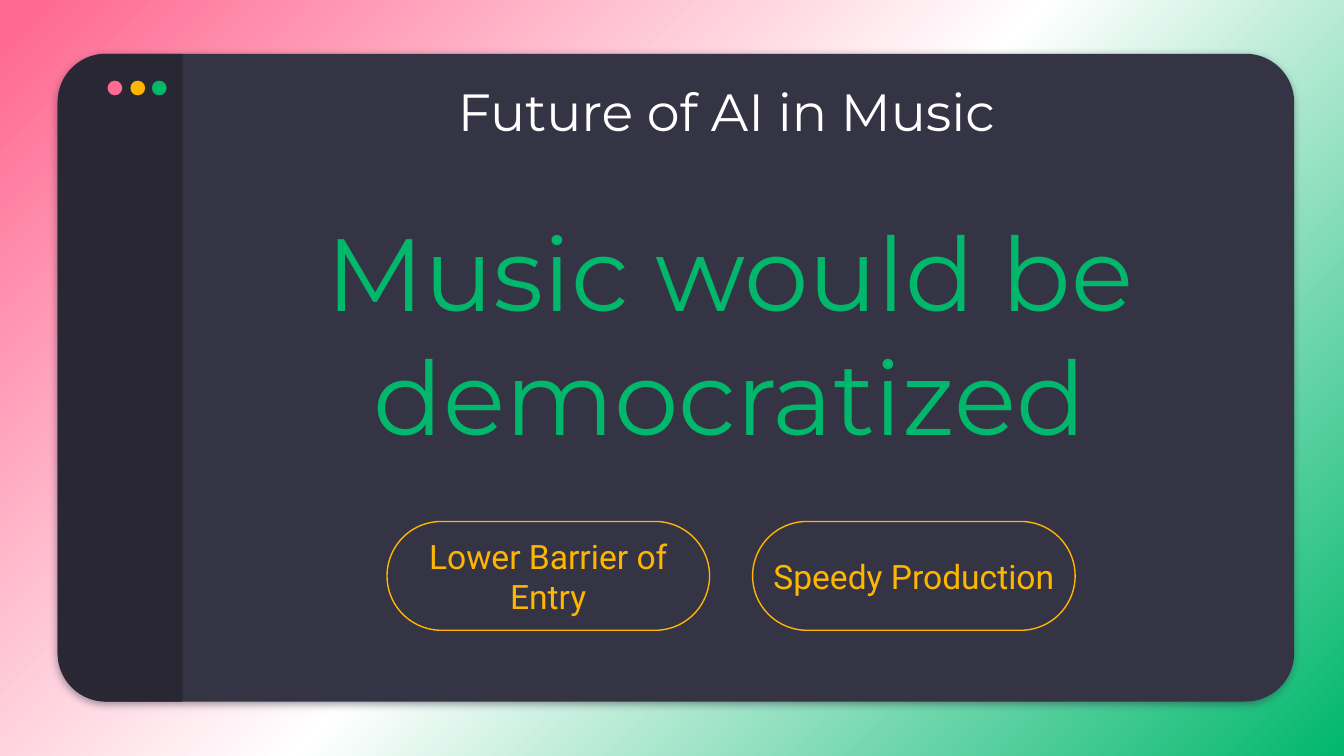
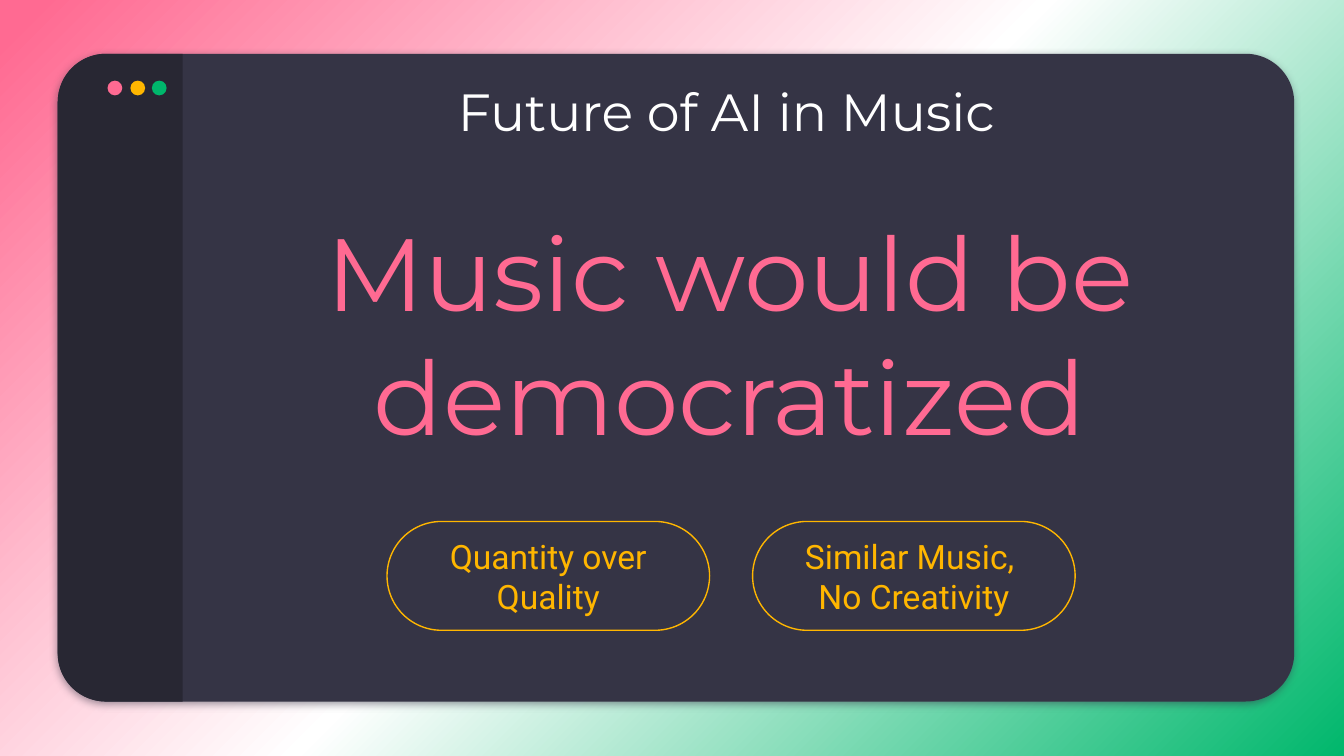
from lxml import etree
from pptx import Presentation
from pptx.dml.color import RGBColor
from pptx.enum import shapes, text
from pptx.oxml import ns
from pptx.util import Inches, Pt

# Content
TITLE = "Future of AI in Music"
CLAIM = "Music would be democratized"
PINK, AMBER, GREEN = "FF6A92", "FFB600", "00B76C"
WHITE, PANEL, SIDE = "FFFFFF", "353445", "282733"
SLIDES = [
    (GREEN, ["Lower Barrier of Entry", "Speedy Production"]),
    (PINK, ["Quantity over Quality", "Similar Music, \nNo Creativity"]),
]

# Layout in inches, on a 16:9 slide
WIDE = 10
HIGH = WIDE * 9 / 16
FRAME = (0.43, 0.4, 9.2, 4.82)
BAR = 0.93
DOT, DOT_Y, DOTS = 0.11, 0.6, [(0.8, PINK), (0.97, AMBER), (1.13, GREEN)]
PILL_X, PILL_Y, PILL_W, PILL_H, PILL_GAP = 2.88, 3.88, 2.4, 0.81, 0.32
STOPS = [(0, PINK), (2, PINK), (50, WHITE), (100, GREEN)]
KIND = shapes.MSO_SHAPE


def color(code):
    return RGBColor.from_string(code)


def sub(parent, tag, **attrs):
    return etree.SubElement(parent, ns.qn(tag), {k: str(v) for k, v in attrs.items()})


def paint(slide):
    """Diagonal gradient behind the window."""
    slide.background.fill.gradient()
    grad = next(slide.element.iter(ns.qn("a:gradFill")))
    for child in list(grad):
        grad.remove(child)
    stops = sub(grad, "a:gsLst")
    for share, code in STOPS:
        sub(sub(stops, "a:gs", pos=share * 1000), "a:srgbClr", val=code)
    sub(grad, "a:lin", ang=45 * 60000, scaled=0)


def shape(slide, kind, box, fill=None, line=None, adj=()):
    item = slide.shapes.add_shape(kind, *map(Inches, box))
    item.shadow.inherit = False
    for i, value in enumerate(adj):
        item.adjustments[i] = value
    if fill:
        item.fill.solid()
        item.fill.fore_color.rgb = color(fill)
    else:
        item.fill.background()
    if line:
        item.line.color.rgb = color(line)
        item.line.width = Pt(0.75)
    else:
        item.line.fill.background()
    return item


def write(item, words, size, font, code, anchor="MIDDLE", pad=0):
    frame = item.text_frame
    frame.word_wrap = True
    frame.auto_size = text.MSO_AUTO_SIZE.NONE
    frame.vertical_anchor = text.MSO_ANCHOR[anchor]
    frame.margin_left = frame.margin_right = Inches(pad)
    frame.margin_top = frame.margin_bottom = 0
    frame.text = words
    for para in frame.paragraphs:
        para.alignment = text.PP_ALIGN.CENTER
        for run in para.runs:
            run.font.size, run.font.name = Pt(size), font
            run.font.color.rgb = color(code)


def title(slide, box, words, size, code, anchor):
    item = slide.shapes.add_textbox(*map(Inches, box))
    write(item, words, size, "Montserrat", code, anchor, pad=0.1)


def window(slide):
    """Panel with soft shadow, side bar and three dots."""
    x, y, w, h = FRAME
    panel = shape(slide, KIND.ROUNDED_RECTANGLE, FRAME, PANEL, adj=[0.075])
    effects = next(panel.element.iter(ns.qn("a:effectLst")))
    glow = sub(effects, "a:outerShdw", blurRad=Pt(4.5), dist=Pt(1.5),
               dir=90 * 60000, algn="bl", rotWithShape=0)
    sub(sub(glow, "a:srgbClr", val=PANEL), "a:alpha", val=50000)
    # The bar is drawn lying down, then turned about its centre
    shift = (h - BAR) / 2
    bar = shape(slide, KIND.ROUND_2_SAME_RECTANGLE, (x - shift, y + shift, h, BAR),
                SIDE, adj=[0.386, 0])
    bar.rotation = 270
    for left, code in DOTS:
        shape(slide, KIND.OVAL, (left, DOT_Y, DOT, DOT), code)


def build(deck, accent, points):
    slide = deck.slides.add_slide(deck.slide_layouts[6])
    paint(slide)
    window(slide)
    title(slide, (2.3, 1.6, 6.26, 1.79), CLAIM, 55, accent, "BOTTOM")
    for i, words in enumerate(points):
        box = (PILL_X + i * (PILL_W + PILL_GAP), PILL_Y, PILL_W, PILL_H)
        pill = shape(slide, KIND.ROUNDED_RECTANGLE, box, line=AMBER, adj=[0.5])
        write(pill, words, 18, "Roboto", AMBER)
    title(slide, (1.89, 0.59, 7.03, 0.52), TITLE, 28, WHITE, "TOP")


def main():
    deck = Presentation()
    deck.slide_width, deck.slide_height = Inches(WIDE), Inches(HIGH)
    for accent, points in SLIDES:
        build(deck, accent, points)
    deck.save("out.pptx")


if __name__ == "__main__":
    main()
